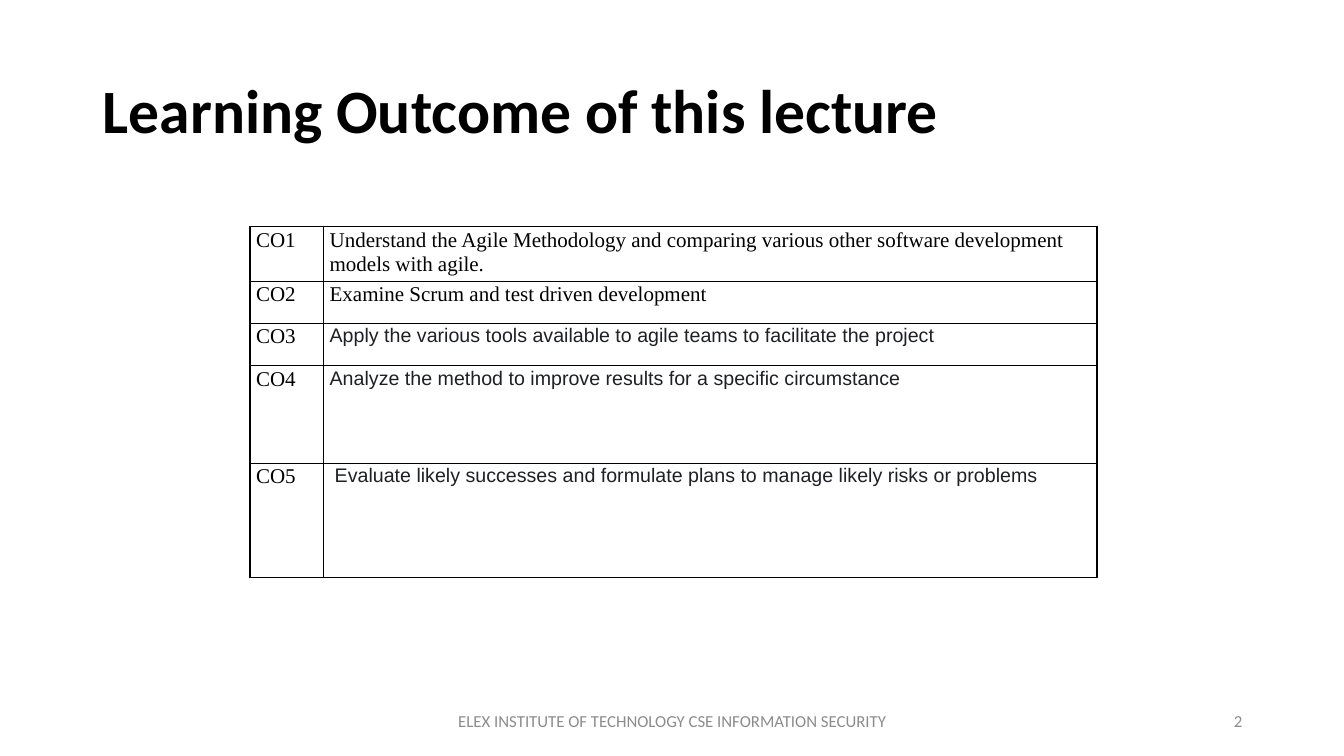
import pptx
import pptx.dml.color
import pptx.enum.text
import pptx.oxml
import pptx.oxml.ns
import pptx.util
from pptx.util import Inches

ALIGN = pptx.enum.text.PP_ALIGN
MIDDLE = pptx.enum.text.MSO_ANCHOR.MIDDLE
SERIF = ("Times New Roman", 15, "000000")
SANS = ("Arial", 14, "1D2125")
FOOTER = ("Calibri", 12, "8C8C8C")


def add_run(paragraph, text, style, bold=False):
    run = paragraph.add_run()
    run.text = text
    font = run.font
    font.name, size, color = style
    font.size = pptx.util.Pt(size)
    font.color.rgb = pptx.dml.color.RGBColor.from_string(color)
    font.bold = bold


def add_borders(cell, color):
    for side in ("lnL", "lnR", "lnT", "lnB"):
        cell._tc.get_or_add_tcPr().append(pptx.oxml.parse_xml(
            f'<a:{side} {pptx.oxml.ns.nsdecls("a")} w="12700"><a:solidFill>'
            f'<a:srgbClr val="{color}"/></a:solidFill></a:{side}>'))


presentation = pptx.Presentation()
presentation.slide_width = Inches(13.33)
presentation.slide_height = Inches(7.5)
slide = presentation.slides.add_slide(presentation.slide_layouts[5])

title = slide.shapes.title
title.left, title.top = Inches(0.92), Inches(0.4)
title.width, title.height = Inches(11.5), Inches(1.45)
title.text_frame.vertical_anchor = MIDDLE
heading = title.text_frame.paragraphs[0]
heading.alignment = ALIGN.LEFT
heading.line_spacing = 0.9
add_run(heading, "Learning Outcome of this lecture", ("Calibri", 44, "000000"), bold=True)

# Row height, outcome, text style, left margin
outcomes = [
    (0.54, "Understand the Agile Methodology and comparing various other "
           "software development models with agile.", SERIF, 0.06),
    (0.42, "Examine Scrum and test driven development", SERIF, 0.06),
    (0.42, "Apply the various tools available to agile teams to facilitate the project", SANS, 0.06),
    (0.97, "Analyze the method to improve results for a specific circumstance", SANS, 0.06),
    (1.13, "Evaluate likely successes and formulate plans to manage likely risks or problems", SANS, 0.11),
]
outcome_table = slide.shapes.add_table(
    len(outcomes), 2, Inches(2.48), Inches(2.25), Inches(8.4), Inches(3.47)).table
outcome_table.first_row = False
outcome_table.horz_banding = False
outcome_table.columns[0].width = Inches(0.73)
outcome_table.columns[1].width = Inches(7.67)

for row, (height, outcome, style, indent) in enumerate(outcomes):
    outcome_table.rows[row].height = Inches(height)
    entries = [
        (f"CO{row + 1}", SERIF, 0.06, ALIGN.JUSTIFY),
        (outcome, style, indent, ALIGN.LEFT),
    ]
    for column, (text, font, margin, alignment) in enumerate(entries):
        cell = outcome_table.cell(row, column)
        cell.margin_left, cell.margin_right = Inches(margin), Inches(0.06)
        cell.margin_top = cell.margin_bottom = 0
        add_borders(cell, "000000")
        cell.fill.background()
        paragraph = cell.text_frame.paragraphs[0]
        paragraph.alignment = alignment
        paragraph.line_spacing = 1.07
        add_run(paragraph, text, font)

footers = [
    (4.42, 4.5, "ELEX INSTITUTE OF TECHNOLOGY CSE INFORMATION SECURITY", ALIGN.CENTER),
    (9.42, 3, "2", ALIGN.RIGHT),
]
for left, width, text, alignment in footers:
    frame = slide.shapes.add_textbox(
        Inches(left), Inches(6.95), Inches(width), Inches(0.4)).text_frame
    frame.word_wrap = True
    frame.vertical_anchor = MIDDLE
    frame.paragraphs[0].alignment = alignment
    add_run(frame.paragraphs[0], text, FOOTER)

presentation.save("out.pptx")
